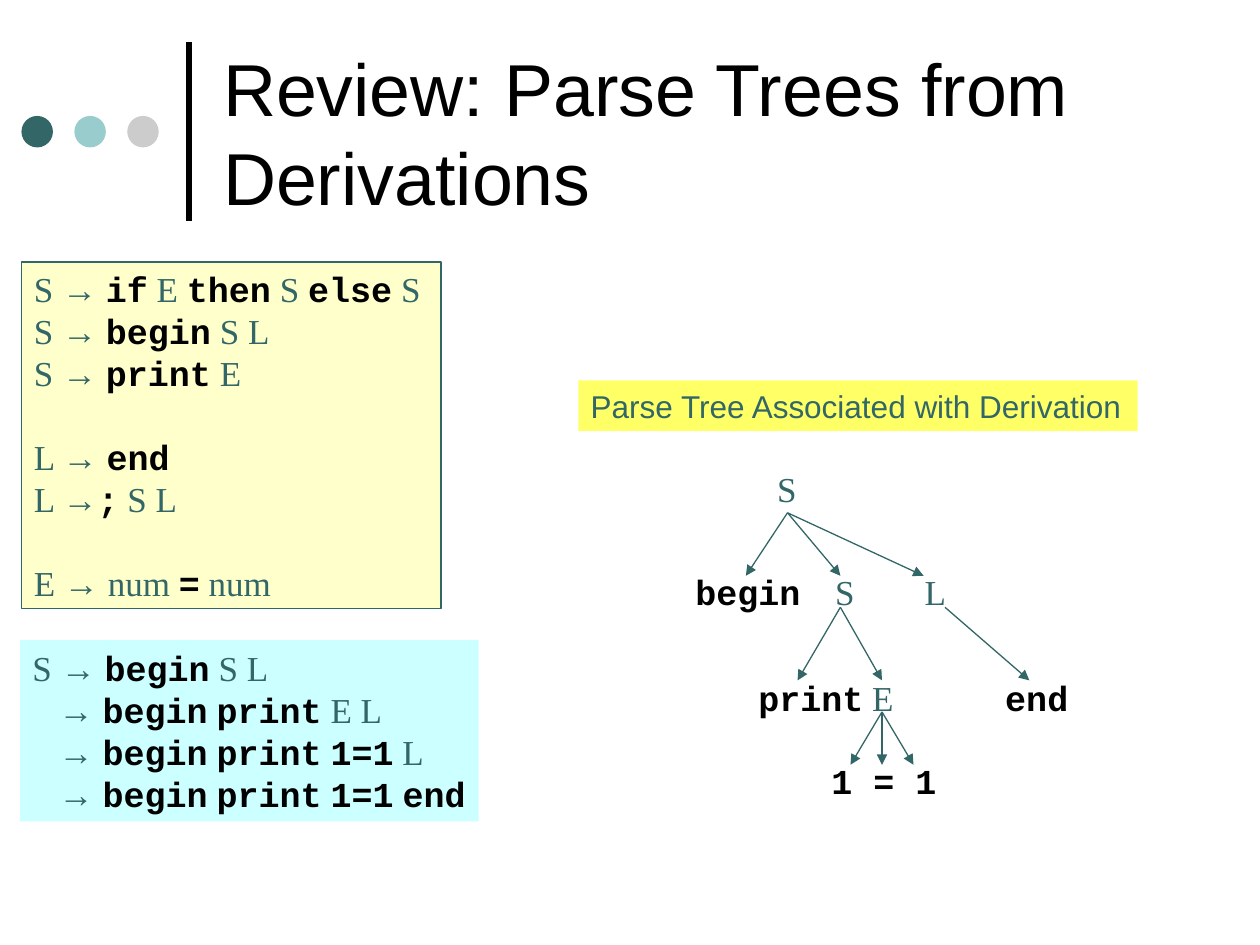
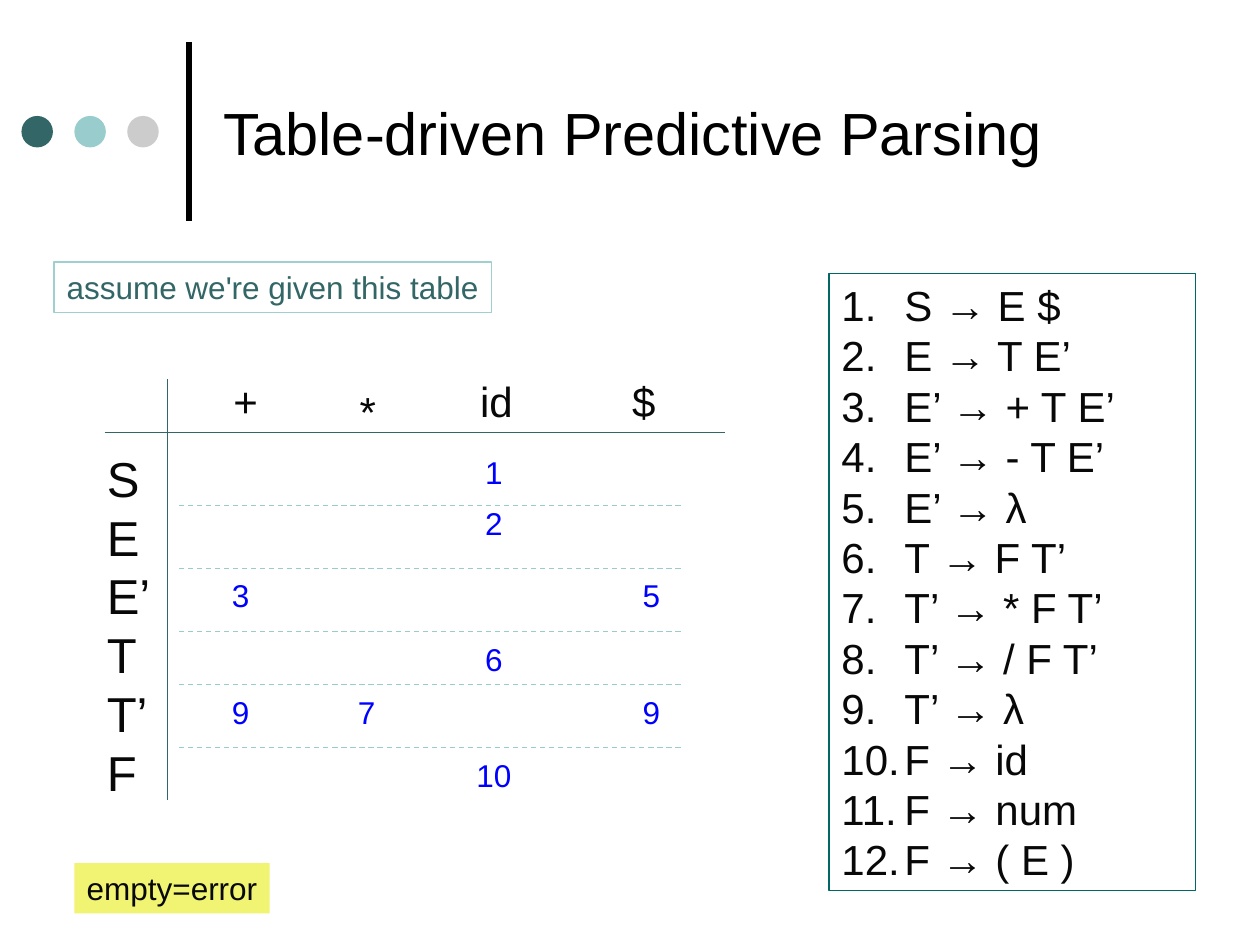
"""Build two slides on parse trees and table-driven predictive parsing."""
import pptx
import pptx.util
import pptx.dml.color
import pptx.enum.dml
import pptx.enum.shapes
import pptx.enum.text
import pptx.oxml.ns
from lxml import etree

COLORS = {"teal": "336666", "aqua": "99CCCC", "gray": "CCCCCC", "black": "000000",
          "ink": "080808", "blue": "0000FF", "cream": "FFFFCC", "cyan": "CCFFFF",
          "yellow": "FFFF66", "lemon": "F1F472", "pine": "006666", "mist": "A0CFCF"}
SANS, SERIF, MONO = "Arial", "Times New Roman", "Courier New"
LINE_PITCH = 1.2
CODE_SIZE = 20

GRAMMAR = [["S → `if` E `then` S `else` S", "S → `begin` S L", "S → `print` E"],
           ["L → `end`", "L →`;` S L"],
           ["E → num `=` num"]]
DERIVATION = ["S → `begin` S L", "→ `begin` `print` E L",
              "→ `begin` `print` `1=1` L", "→ `begin` `print` `1=1` `end`"]
TREE_LABELS = [("S", 6.07, 3.66, 0.4), ("`begin`", 5.42, 4.48, 1.1),
               ("S", 6.53, 4.48, 0.4), ("L", 7.24, 4.48, 0.4),
               ("`print` E", 5.92, 5.32, 1.4), ("`end`", 7.88, 5.32, 0.8),
               ("`1 = 1`", 6.5, 5.98, 1.1)]
TREE_FANS = [((6.25, 4.07), 4.57, (5.92, 6.67, 7.33)), ((6.67, 4.82), 5.4, (6.33, 7)),
             ((7.5, 4.82), 5.4, (8.17,)), ((7, 5.65), 6.07, (6.75, 7, 7.25))]

PRODUCTIONS = ["S → E $", "E → T E’", "E’ → + T E’", "E’ → - T E’", "E’ → λ", "T → F T’",
               "T’ → * F T’", "T’ → / F T’", "T’ → λ", "F → id", "F → num", "F → ( E )"]
TABLE_COLUMNS = {"+": (1.95, 2.93, 1.91), "*": (2.92, 3.01, 2.91),
                 "id": (3.94, 2.93, 3.92), "$": (5.11, 2.93, 5.17)}
TABLE_ROWS = [("S", 3.55, {"id": 1}), ("E", 3.95, {"id": 2}),
              ("E’", 4.52, {"+": 3, "$": 5}), ("T", 5.03, {"id": 6}),
              ("T’", 5.45, {"+": 9, "*": 7, "$": 9}), ("F", 5.95, {"id": 10})]
ROW_DIVIDERS = [4.01, 4.51, 5.01, 5.43, 5.93]


def inches(*values):
    return [pptx.util.Inches(v) for v in values]


def rgb(name):
    return pptx.dml.color.RGBColor.from_string(COLORS[name])


def sub(parent, tag, **attrs):
    return etree.SubElement(parent, pptx.oxml.ns.qn(tag), attrs)


def add_run(p, text, size, font=SANS, color="ink", bold=False):
    r = p.add_run()
    r.text = text
    r.font.size, r.font.name, r.font.bold = pptx.util.Pt(size), font, bold
    r.font.color.rgb = rgb(color)


def add_code(p, text):
    for i, part in enumerate(text.replace("→", "`→`").split("`")):
        if part == "→":
            add_run(p, part, CODE_SIZE, SANS, "teal")
        elif part and i % 2:
            add_run(p, part, CODE_SIZE, MONO, "black", True)
        elif part:
            add_run(p, part, CODE_SIZE, SERIF, "teal")


def add_paragraph(tf, size, center=False):
    p = tf.paragraphs[0] if not tf.paragraphs[0].runs else tf.add_paragraph()
    align = pptx.enum.text.PP_ALIGN
    p.alignment = align.CENTER if center else align.LEFT
    p.line_spacing = pptx.util.Pt(size * LINE_PITCH)
    return p


def add_shape(slide, kind, at, fill=None, line=None):
    sp = slide.shapes.add_shape(kind, *inches(*at))
    sp.shadow.inherit = False
    if fill:
        sp.fill.solid()
        sp.fill.fore_color.rgb = rgb(fill)
    else:
        sp.fill.background()
    if line:
        sp.line.color.rgb = rgb(line)
        sp.line.width = pptx.util.Pt(0.75)
    else:
        sp.line.fill.background()
    return sp


def add_box(slide, at, fill=None, line=None, wrap=True):
    if fill or line:
        sp = add_shape(slide, pptx.enum.shapes.MSO_SHAPE.RECTANGLE, at, fill, line)
    else:
        sp = slide.shapes.add_textbox(*inches(*at))
    tf = sp.text_frame
    tf.word_wrap = wrap
    tf.vertical_anchor = pptx.enum.text.MSO_ANCHOR.TOP
    return tf


def add_label(slide, text, at, size, color="ink", center=False, **box):
    p = add_paragraph(add_box(slide, at, **box), size, center)
    add_run(p, text, size, color=color)


def add_line(slide, start, end, color="teal", width=0.75, dash=False, arrow=False):
    kind = pptx.enum.shapes.MSO_CONNECTOR.STRAIGHT
    cx = slide.shapes.add_connector(kind, *inches(*start, *end))
    cx.line.color.rgb = rgb(color)
    cx.line.width = pptx.util.Pt(width)
    if dash:
        cx.line.dash_style = pptx.enum.dml.MSO_LINE.DASH
    if arrow:
        sub(cx.line._get_or_add_ln(), "a:tailEnd", type="triangle")
    sub(cx._element.spPr, "a:effectLst")


def add_slide(prs, title, size):
    slide = prs.slides.add_slide(prs.slide_layouts[5])
    add_line(slide, (1.5, 1.75), (1.5, 0.33), "black", 3)
    for i, color in enumerate(("teal", "aqua", "gray")):
        add_shape(slide, pptx.enum.shapes.MSO_SHAPE.OVAL,
                  (0.17 + 0.42 * i, 0.92, 0.25, 0.25), color)
    sp = slide.shapes.title
    sp.left, sp.top, sp.width, sp.height = inches(1.67, 0.21, 7.67, 1.67)
    tf = sp.text_frame
    tf.word_wrap = True
    tf.auto_size = pptx.enum.text.MSO_AUTO_SIZE.NONE
    tf.vertical_anchor = pptx.enum.text.MSO_ANCHOR.MIDDLE
    add_run(add_paragraph(tf, size), title, size, color="black")
    return slide


def build_parse_tree(prs):
    slide = add_slide(prs, "Review: Parse Trees from Derivations", 42)
    tf = add_box(slide, (0.17, 2.08, 3.33, 2.75), "cream", "teal")
    tf.vertical_anchor = pptx.enum.text.MSO_ANCHOR.MIDDLE
    for g, group in enumerate(GRAMMAR):
        for i, rule in enumerate(group):
            p = add_paragraph(tf, CODE_SIZE)
            if g and not i:
                p.space_before = pptx.util.Pt(CODE_SIZE * LINE_PITCH)
            add_code(p, rule)

    tf = add_box(slide, (0.16, 5.08, 3.64, 1.44), "cyan", wrap=False)
    for step in DERIVATION:
        p = add_paragraph(tf, CODE_SIZE)
        if step.startswith("→"):
            p._p.get_or_add_pPr().set("marL", str(pptx.util.Pt(15)))
        add_code(p, step)

    for text, x, y, w in TREE_LABELS:
        add_code(add_paragraph(add_box(slide, (x, y, w, 0.44)), CODE_SIZE), text)
    for start, y, xs in TREE_FANS:
        for x in xs:
            add_line(slide, start, (x, y), arrow=True)
    add_label(slide, "Parse Tree Associated with Derivation", (4.59, 3.02, 4.44, 0.4),
              18, "teal", fill="yellow", wrap=False)


def build_predictive_table(prs):
    slide = add_slide(prs, "Table-driven Predictive Parsing", 34)
    tf = add_box(slide, (6.58, 2.17, 2.91, 4.9), line="pine")
    hang = pptx.util.Inches(0.5)
    for rule in PRODUCTIONS:
        p = add_paragraph(tf, 24)
        pPr = p._p.get_or_add_pPr()
        pPr.set("marL", str(hang))
        pPr.set("indent", str(-hang))
        sub(sub(pPr, "a:buClr"), "a:srgbClr", val=COLORS["ink"])
        sub(pPr, "a:buFont", typeface=SANS)
        sub(pPr, "a:buAutoNum", type="arabicPeriod")
        add_run(p, rule, 24)

    tf = add_box(slide, (0.75, 3.51, 0.7, 2.9))
    for symbol, _, _ in TABLE_ROWS:
        add_run(add_paragraph(tf, 28), symbol, 28)
    for symbol, (x, y, _) in TABLE_COLUMNS.items():
        add_label(slide, symbol, (x - 0.3, y, 0.6, 0.5), 24, center=True)
    add_line(slide, (0.83, 3.43), (5.75, 3.43))
    add_line(slide, (1.33, 3.01), (1.33, 6.35))
    for _, y, entries in TABLE_ROWS:
        for symbol, number in entries.items():
            x = TABLE_COLUMNS[symbol][2]
            add_label(slide, str(number), (x - 0.3, y, 0.6, 0.4), 18, "blue", True)
    for y in ROW_DIVIDERS:
        add_line(slide, (1.42, y), (5.42, y), "aqua", dash=True)

    add_label(slide, "empty=error", (0.59, 6.85, 1.55, 0.4), 18, center=True,
              fill="lemon", wrap=False)
    add_label(slide, "assume we're given this table", (0.43, 2.08, 3.47, 0.4),
              18, "teal", line="mist", wrap=False)


def main():
    prs = pptx.Presentation()
    prs.slide_width, prs.slide_height = inches(10, 7.5)
    build_parse_tree(prs)
    build_predictive_table(prs)
    prs.save("out.pptx")


if __name__ == "__main__":
    main()
